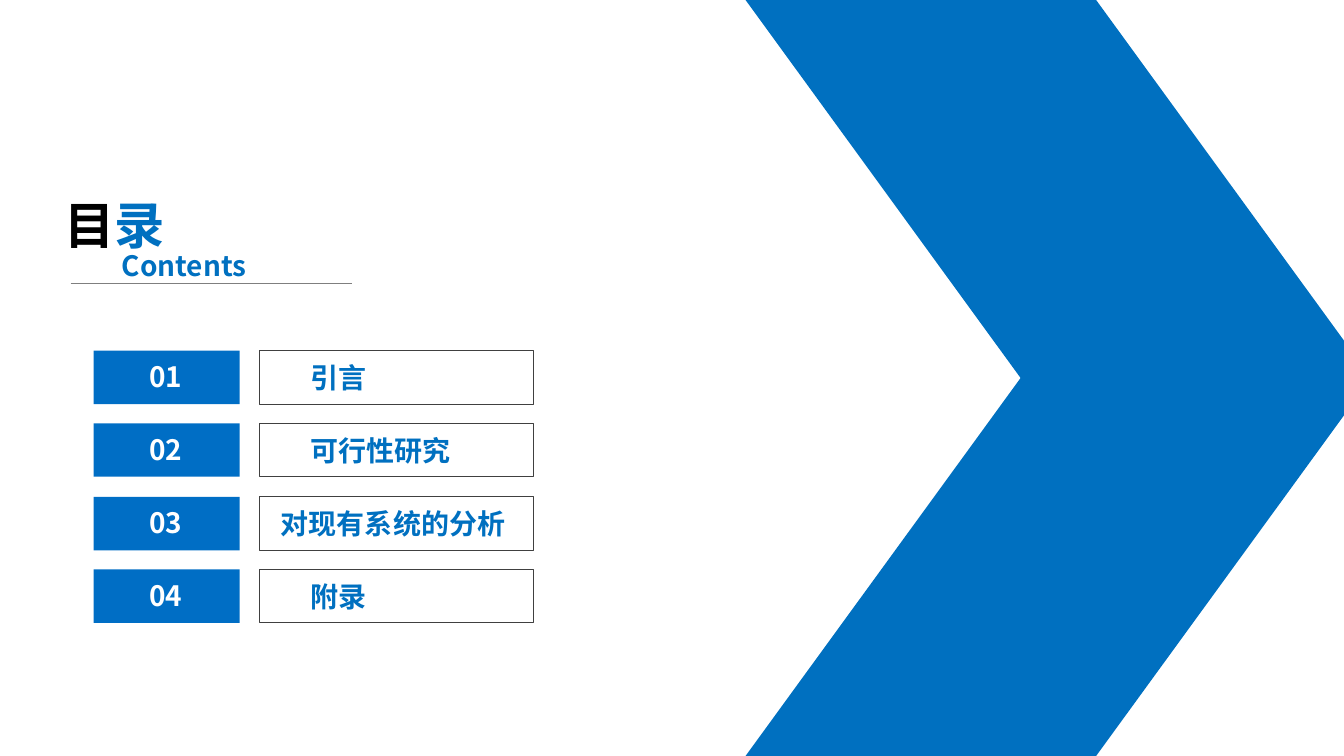
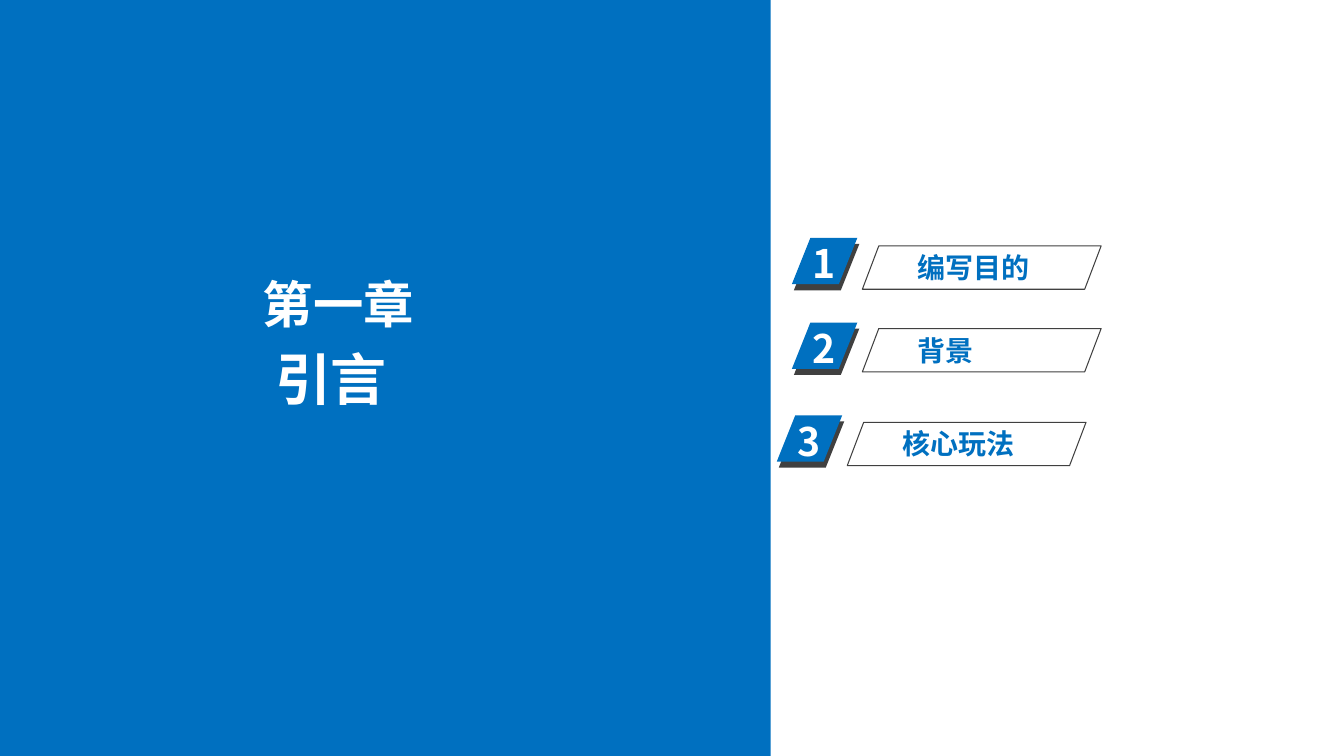
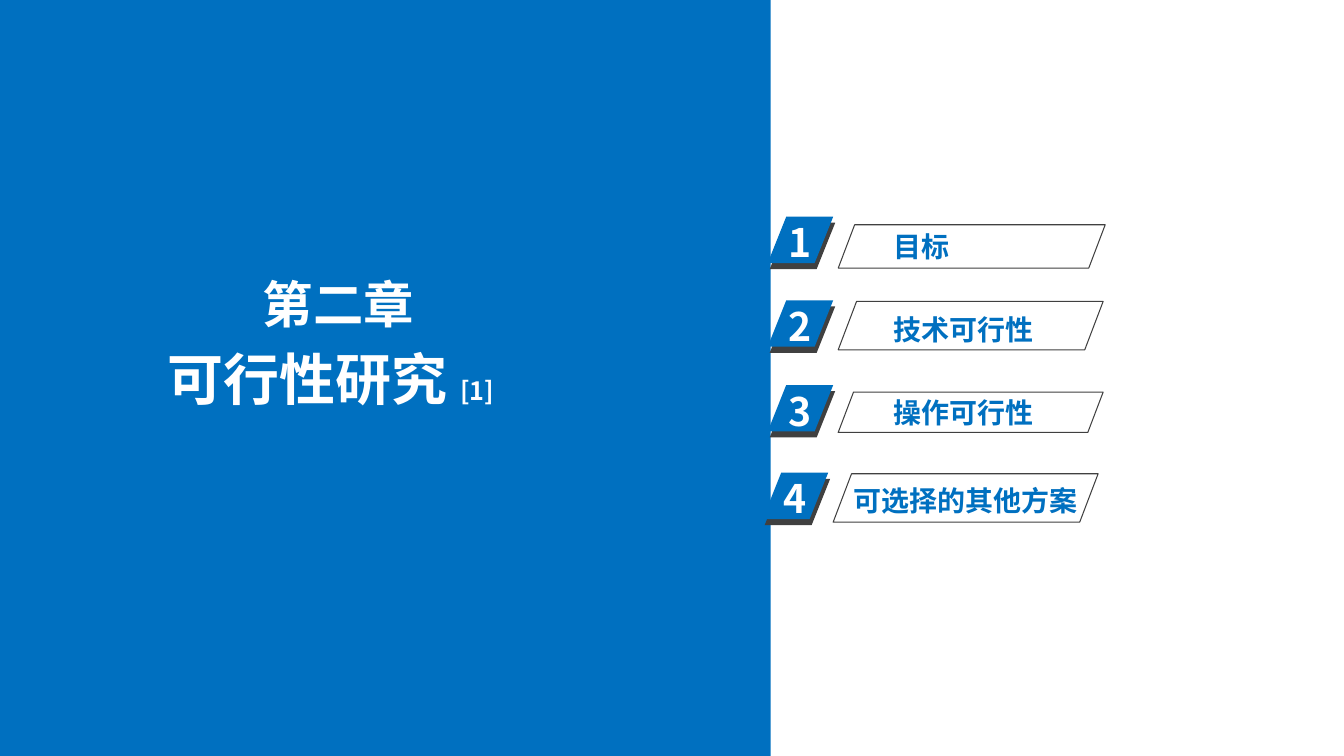
"""Builds a contents slide and two chapter openers."""
from lxml import etree
from pptx import Presentation
from pptx import util as u
from pptx.dml.color import RGBColor
from pptx.enum import shapes, text
from pptx.oxml.ns import qn

PX = 9144
FONT = "Noto Sans CJK SC"
BLUE = RGBColor(0x00, 0x70, 0xC0)
TILE_BLUE = RGBColor(0x00, 0x6E, 0xC5)
DARK = RGBColor(0x40, 0x40, 0x40)
GREY = RGBColor(0x7F, 0x7F, 0x7F)
BLACK = RGBColor(0x00, 0x00, 0x00)
WHITE = RGBColor(0xFF, 0xFF, 0xFF)
RECT = shapes.MSO_SHAPE.RECTANGLE
SLANTED = shapes.MSO_SHAPE.PARALLELOGRAM
LEFT, CENTER = text.PP_ALIGN.LEFT, text.PP_ALIGN.CENTER


def add_block(slide, kind, box, fill=None, slant=None):
    """Adds a filled block, or an outlined one if no fill is given."""
    block = slide.shapes.add_shape(kind, *(n * PX for n in box))
    block.shadow.inherit = False
    if slant is not None:
        block.adjustments[0] = slant
    if fill is None:
        block.fill.background()
        block.line.color.rgb = DARK
        block.line.width = u.Pt(0.75)
    else:
        block.fill.solid()
        block.fill.fore_color.rgb = fill
        block.line.fill.background()
    return block


def add_label(slide, box, runs, align=LEFT):
    """Adds one bold line of (words, size, colour) runs."""
    frame = slide.shapes.add_textbox(*(n * PX for n in box)).text_frame
    frame.word_wrap = True
    frame.auto_size = text.MSO_AUTO_SIZE.SHAPE_TO_FIT_TEXT
    line = frame.paragraphs[0]
    line.alignment = align
    for words, size, colour in runs:
        run = line.add_run()
        run.text = words
        run.font.size = u.Pt(size)
        run.font.bold = True
        run.font.color.rgb = colour
        run.font.name = FONT
        etree.SubElement(run.font._element, qn("a:ea")).set("typeface", FONT)


prs = Presentation()
prs.slide_width, prs.slide_height = 1334 * PX, 750 * PX
blank = prs.slide_layouts[6]

contents = prs.slides.add_slide(blank)
add_block(contents, SLANTED, (740, 375, 621, 375), BLUE, 0.728)
upper_arm = add_block(contents, SLANTED, (740, 0, 621, 375), BLUE, 0.728)
upper_arm._element.spPr.find(qn("a:xfrm")).set("flipV", "1")

entries = [("引言", 298), ("可行性研究", 298), ("对现有系统的分析", 269), ("附录", 298)]
for i, (entry, entry_left) in enumerate(entries):
    top = 348 + 145 * i // 2
    add_block(contents, RECT, (258, top, 272, 53))
    add_label(contents, (entry_left, top + 5, 303, 44), [(entry, 20, BLUE)])
    add_block(contents, RECT, (93, top, 145, 53), TILE_BLUE)
    add_label(contents, (112, top + 4, 105, 44), [(f"{i + 1:02}", 20, WHITE)], CENTER)

add_label(contents, (54, 188, 157, 70), [("目", 36, BLACK), ("录", 36, BLUE)])
rule = contents.shapes.add_connector(
    shapes.MSO_CONNECTOR.STRAIGHT, 70 * PX, 281 * PX, 349 * PX, 281 * PX)
rule.line.color.rgb = GREY
rule.line.width = u.Pt(0.5)
etree.SubElement(rule._element.spPr, qn("a:effectLst"))
add_label(contents, (111, 242, 157, 44), [("Contents", 20, BLUE)])

chapters = [
    ("第一章", [("引言", 40, WHITE)], [
        ("编写目的", 786, 236, (856, 244, 237, 43), (901, 244)),
        ("背景", 786, 320, (856, 326, 237, 43), (901, 326)),
        ("核心玩法", 771, 412, (841, 419, 237, 43), (886, 418)),
    ]),
    ("第二章", [("可行性研究 ", 40, WHITE), ("[1]", 18, WHITE)], [
        ("目标", 762, 215, (832, 223, 265, 43), (877, 223)),
        ("技术可行性", 762, 298, (832, 299, 263, 48), (877, 305)),
        ("操作可行性", 762, 382, (832, 389, 263, 40), (877, 387)),
        ("可选择的其他方案", 757, 469, (827, 470, 263, 48), (837, 475)),
    ]),
]
for chapter, title, sections in chapters:
    opener = prs.slides.add_slide(blank)
    add_block(opener, RECT, (0, 0, 765, 750), BLUE)
    add_label(opener, (251, 266, 181, 70), [(chapter, 36, WHITE)])
    add_label(opener, (140, 337, 377, 77), title, CENTER)
    for number, (section, left, top, frame_box, section_at) in enumerate(sections, 1):
        add_block(opener, SLANTED, (left + 2, top + 6, 65, 46), DARK, 0.4)
        add_block(opener, SLANTED, (left, top, 65, 46), BLUE, 0.4)
        add_label(opener, (left + 11, top - 3, 69, 57), [(str(number), 28, WHITE)])
        add_block(opener, SLANTED, frame_box, slant=0.38)
        add_label(opener, (*section_at, 303, 44), [(section, 20, BLUE)])

prs.save("out.pptx")
